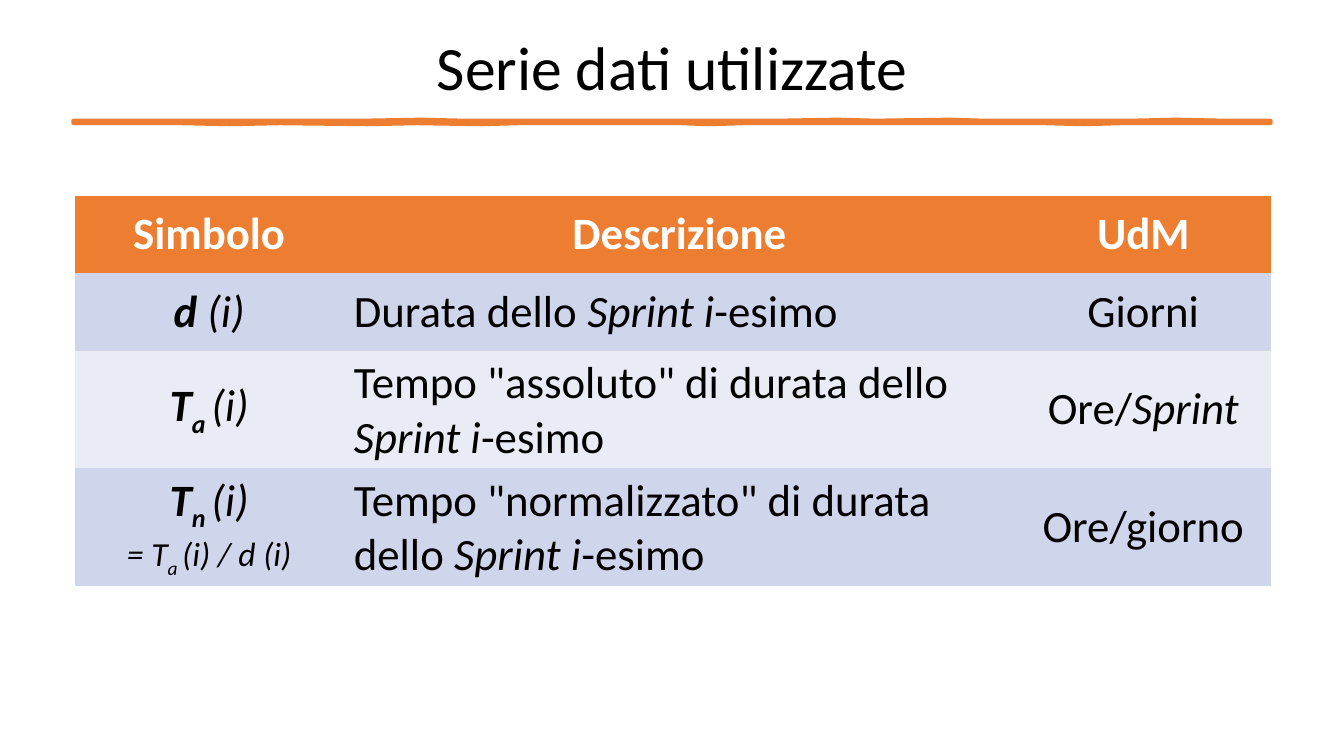
from collections import namedtuple
from dataclasses import dataclass

from lxml.etree import SubElement
from pptx import Presentation
from pptx.dml.color import RGBColor
from pptx.enum.text import MSO_ANCHOR, PP_ALIGN
from pptx.oxml.ns import qn
from pptx.util import Emu, Pt

PX = 9144
Box = namedtuple("Box", "left top width height")


@dataclass(frozen=True)
class Theme:
    """Colours, font and type sizes of the slide."""
    font: str = "Calibri"
    accent: RGBColor = RGBColor(0xED, 0x7D, 0x31)
    ink: RGBColor = RGBColor(0, 0, 0)
    paper: RGBColor = RGBColor(255, 255, 255)
    bands: tuple = (RGBColor(0xCF, 0xD5, 0xEA), RGBColor(0xE9, 0xEB, 0xF5))
    title: int = 44
    body: int = 32
    formula: int = 24
    stroke: float = 3.25


THEME = Theme()
BOLD = {"bold": True}
ITALIC = {"italic": True}
SYMBOL = {"bold": True, "italic": True}
FORMULA = {"italic": True, "size": Pt(THEME.formula)}
SUBSCRIPT = {"subscript": True}

TITLE = "Serie dati utilizzate"
SPRINT = [("Sprint i", ITALIC), ("-esimo", {})]
HEADER = [[[(name, BOLD)]] for name in ("Simbolo", "Descrizione", "UdM")]
ROWS = [
    HEADER,
    [[[("d ", SYMBOL), ("(i)", ITALIC)]],
     [[("Durata dello ", {}), *SPRINT]],
     [[("Giorni", {})]]],
    [[[("T", SYMBOL), ("a ", SYMBOL | SUBSCRIPT), ("(i)", ITALIC)]],
     [[('Tempo "assoluto" di durata dello ', {}), *SPRINT]],
     [[("Ore/", {}), ("Sprint", ITALIC)]]],
    [[[("T", SYMBOL), ("n ", SYMBOL | SUBSCRIPT), ("(i)", ITALIC)],
      [("= T", FORMULA), ("a ", FORMULA | SUBSCRIPT), ("(i) / d\u00a0(i)", FORMULA)]],
     [[('Tempo "normalizzato" di durata dello ', {}), *SPRINT]],
     [[("Ore/giorno", {})]]],
]
COLUMN_WIDTHS = (267, 666, 254)
ROW_HEIGHT = 77
DESCRIPTION = 1

RULE_TOP = [(0, 0), (170, 0), (288, 0), (345, -1), (386, 0), (700, 0), (757, -1),
            (795, 0), (869, -1), (902, 0), (1050, 0), (1093, -1), (1140, 0), (1187, 0)]
RULE_BOTTOM = [(1187, 2), (1039, 2), (1001, 3), (964, 2), (665, 2), (630, 3), (602, 2),
               (442, 2), (404, 3), (341, 2), (291, 3), (205, 2), (155, 3), (107, 2), (0, 2)]


def fill_text(frame, paragraphs, color, size, align):
    """Write paragraphs of formatted spans into a text frame."""
    for index, spans in enumerate(paragraphs):
        para = frame.add_paragraph() if index else frame.paragraphs[0]
        para.alignment = align
        for text, style in spans:
            span = para.add_run()
            span.text = text
            values = {"name": THEME.font, "size": Pt(size), "bold": False,
                      "italic": False} | style
            if values.pop("subscript", False):
                span._r.get_or_add_rPr().set("baseline", "-25000")
            for name, value in values.items():
                setattr(span.font, name, value)
            span.font.color.rgb = color


def add_title(page, box):
    """Place the centred slide title."""
    frame = page.shapes.add_textbox(*(Emu(n * PX) for n in box)).text_frame
    settings = {"word_wrap": True, "vertical_anchor": MSO_ANCHOR.MIDDLE,
                "margin_left": 0, "margin_right": 0, "margin_top": 0, "margin_bottom": 0}
    for name, value in settings.items():
        setattr(frame, name, value)
    fill_text(frame, [[(TITLE, {})]], THEME.ink, THEME.title, PP_ALIGN.CENTER)


def add_brush_rule(page, box):
    """Draw the slightly wavy rule under the title."""
    points = [(box.left + x, box.top + y) for x, y in RULE_TOP + RULE_BOTTOM]
    builder = page.shapes.build_freeform(*points[0], scale=PX)
    builder.add_line_segments(points[1:], close=True)
    rule = builder.convert_to_shape()
    rule.shadow.inherit = False
    rule.fill.solid()
    rule.fill.fore_color.rgb = THEME.accent
    rule.line.color.rgb = THEME.accent
    rule.line.width = Pt(THEME.stroke)
    SubElement(rule.line._get_or_add_ln(), qn("a:round"))


def add_series_table(page, box):
    """Place the table of data series with banded rows."""
    table = page.shapes.add_table(len(ROWS), len(COLUMN_WIDTHS),
                                  *(Emu(n * PX) for n in box)).table
    table._tbl.tblPr.find(qn("a:tableStyleId")).text = "{2D5ABB26-0587-4C30-8999-92F81FD0307C}"
    for column, width in zip(table.columns, COLUMN_WIDTHS):
        column.width = Emu(width * PX)
    for row_index, row in enumerate(ROWS):
        table.rows[row_index].height = Emu(ROW_HEIGHT * PX)
        fill = THEME.bands[(row_index - 1) % 2] if row_index else THEME.accent
        color = THEME.ink if row_index else THEME.paper
        for column_index, paragraphs in enumerate(row):
            cell = table.cell(row_index, column_index)
            cell.vertical_anchor = MSO_ANCHOR.MIDDLE
            cell.fill.solid()
            cell.fill.fore_color.rgb = fill
            is_description = row_index and column_index == DESCRIPTION
            align = PP_ALIGN.LEFT if is_description else PP_ALIGN.CENTER
            fill_text(cell.text_frame, paragraphs, color, THEME.body, align)


def main():
    """Build the slide and save the deck."""
    deck = Presentation()
    deck.slide_width, deck.slide_height = Emu(1333 * PX), Emu(750 * PX)
    page = deck.slides.add_slide(deck.slide_layouts[6])
    add_brush_rule(page, Box(73, 120, 1187, 2))
    add_title(page, Box(67, -3, 1200, 137))
    add_series_table(page, Box(74, 194, sum(COLUMN_WIDTHS), ROW_HEIGHT * len(ROWS)))
    deck.save("out.pptx")


if __name__ == "__main__":
    main()
